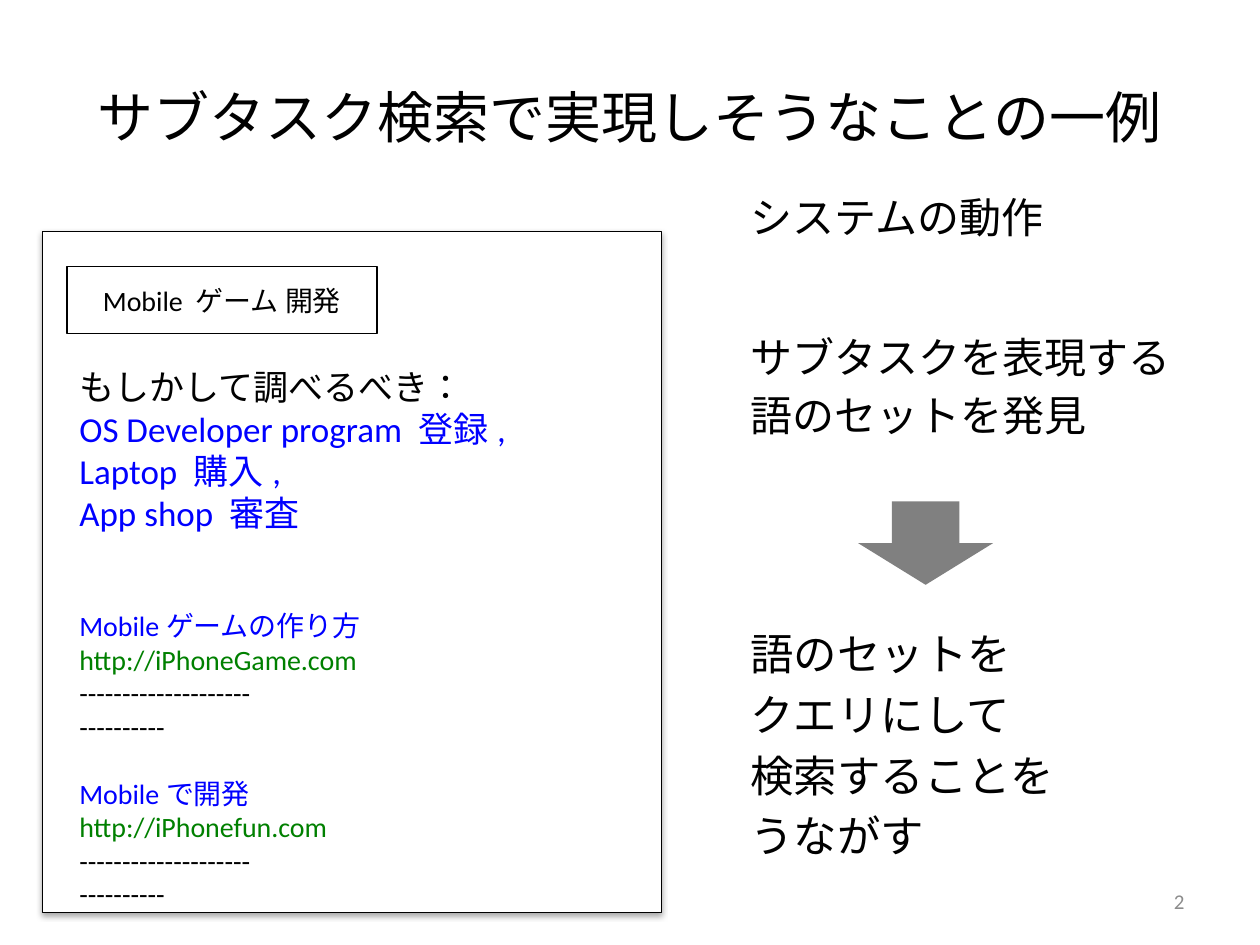
from lxml import etree
from pptx import Presentation
from pptx import util as u
from pptx.dml.color import RGBColor
from pptx.enum import lang, shapes, text
from pptx.oxml.ns import qn

THEME = {
    "font": "Calibri",
    "ink": "000000", "paper": "FFFFFF", "link": "0000FF",
    "address": "008000", "arrow": "808080", "number": "8C8C8C",
    "title": 32, "step": 24, "last_step": 24.8, "hint": 20, "result": 16, "page": 12,
}
LEFT, CENTER, RIGHT = text.PP_ALIGN.LEFT, text.PP_ALIGN.CENTER, text.PP_ALIGN.RIGHT
TOP, MIDDLE = text.MSO_ANCHOR.TOP, text.MSO_ANCHOR.MIDDLE

# Content
TITLE = "サブタスク検索で実現しそうなことの一例"
QUERY = "Mobile ゲーム 開発"
HINT = "もしかして調べるべき："
SUBTASKS = ["OS Developer program 登録,", "Laptop 購入,", "App shop 審査"]
RESULTS = [  # heading, address, space before in points
    ("Mobileゲームの作り方", "http://iPhoneGame.com", 43),
    ("Mobileで開発", "http://iPhonefun.com", 19),
]
SNIPPET = ["-" * 20, "-" * 10]
STEPS_X = 14.88
STEPS = [  # lines, top, width, height, size
    (["システムの動作"], 3.73, 7.42, 1.27, "step"),
    (["サブタスクを表現する", "語のセットを発見"], 6.55, 9.25, 5.21, "step"),
    (["語のセットを", "クエリにして", "検索することを", "うながす"], 12.52, 7.42, 4.37, "last_step"),
]
PAGE_NUMBER = "2"


def color(name):
    return RGBColor.from_string(THEME[name])


def write(box, lines, align=LEFT, anchor=TOP):
    """Each line is (wording, size name, color name, space before in points)."""
    frame = box.text_frame
    frame.word_wrap = True
    frame.vertical_anchor = anchor
    for index, (wording, size, ink, before) in enumerate(lines):
        para = frame.paragraphs[0] if index == 0 else frame.add_paragraph()
        para.alignment = align
        if before:
            para.space_before = u.Pt(before)
        span = para.add_run()
        span.text = wording
        span.font.name = THEME["font"]
        span.font.size = u.Pt(THEME[size])
        span.font.color.rgb = color(ink)
        span.font.language_id = lang.MSO_LANGUAGE_ID.JAPANESE


def add_text(page, place, lines, **layout):
    box = page.shapes.add_textbox(*map(u.Cm, place))
    write(box, lines, **layout)


def add_block(page, kind, place, fill, outlined=False):
    block = page.shapes.add_shape(kind, *map(u.Cm, place))
    block.shadow.inherit = False
    block.fill.solid()
    block.fill.fore_color.rgb = color(fill)
    if outlined:
        block.line.color.rgb = color("ink")
        block.line.width = u.Pt(0.75)
    else:
        block.line.fill.background()
    return block


def cast_shadow(block):
    effects = block._element.spPr.find(qn("a:effectLst"))
    shadow = etree.SubElement(
        effects, qn("a:outerShdw"), blurRad=str(u.Pt(3.1)), dist=str(u.Pt(1.8)),
        dir="5400000", rotWithShape="0")
    tone = etree.SubElement(shadow, qn("a:srgbClr"), val=THEME["ink"])
    etree.SubElement(tone, qn("a:alpha"), val="35000")


def result_lines():
    lines = [(HINT, "hint", "ink", 0)]
    lines += [(subtask, "hint", "link", 0) for subtask in SUBTASKS]
    for heading, address, gap in RESULTS:
        lines.append((heading, "result", "link", gap))
        lines.append((address, "result", "address", 0))
        lines += [(row, "result", "ink", 0) for row in SNIPPET]
    return lines


def main():
    deck = Presentation()
    deck.slide_width, deck.slide_height = u.Cm(25.4), u.Cm(19.05)
    page = deck.slides.add_slide(deck.slide_layouts[6])
    rectangle = shapes.MSO_SHAPE.RECTANGLE

    # Title
    add_text(page, (1.27, 0.76, 22.86, 3.18), [(TITLE, "title", "ink", 0)],
             align=CENTER, anchor=MIDDLE)

    # Search screen: window, query field, suggestions and results
    window = add_block(page, rectangle, (0.86, 4.67, 12.47, 13.72), "paper", outlined=True)
    cast_shadow(window)
    query = add_block(page, rectangle, (1.35, 5.38, 6.25, 1.35), "paper", outlined=True)
    write(query, [(QUERY, "result", "ink", 0)], align=CENTER, anchor=MIDDLE)
    results = add_block(page, rectangle, (1.35, 7.24, 10.54, 10.69), "paper")
    write(results, result_lines())

    # System behaviour: steps joined by an arrow
    for lines, top, width, height, size in STEPS:
        gap = THEME[size] * 0.2
        add_text(page, (STEPS_X, top, width, height),
                 [(line, size, "ink", gap if index else 0) for index, line in enumerate(lines)])
    add_block(page, shapes.MSO_SHAPE.DOWN_ARROW, (17.3, 10.11, 2.72, 1.68), "arrow")

    # Page number
    add_text(page, (18.21, 17.65, 5.92, 1.02), [(PAGE_NUMBER, "page", "number", 0)],
             align=RIGHT, anchor=MIDDLE)

    deck.save("out.pptx")


if __name__ == "__main__":
    main()
